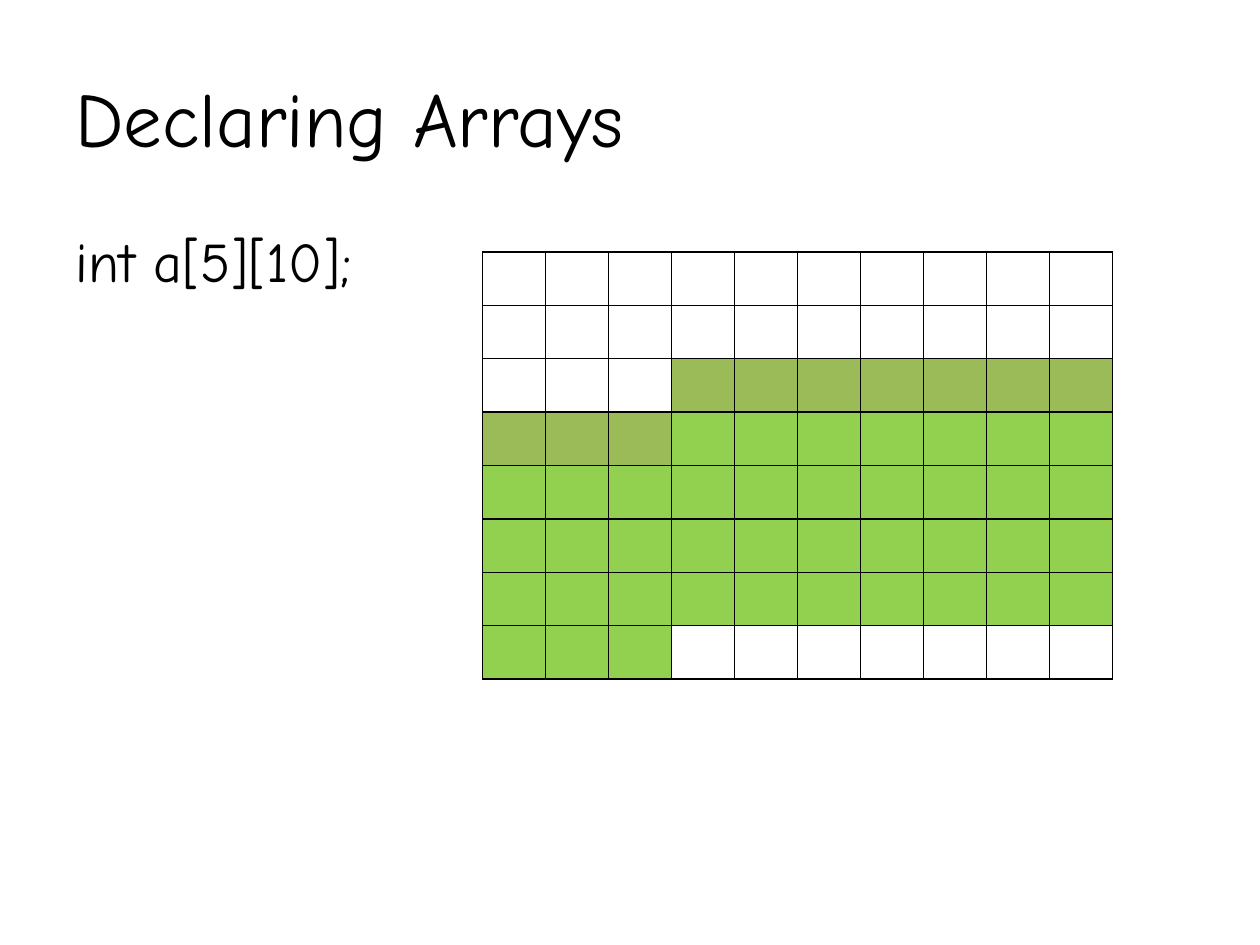
import pptx
import pptx.enum.text
import pptx.oxml
import pptx.oxml.ns
import pptx.util
from pptx.util import Inches, Pt

COLORS = {"ink": "000000", "first_row": "9BBB59", "other_rows": "92D050"}
FONT = "Comic Neue"
MEMORY_ROWS, MEMORY_COLS = 8, 10
ARRAY_ROWS, ARRAY_COLS = 5, 10
ARRAY_START = 23  # memory cell that holds a[0][0]


def rgb(name):
    return pptx.dml.color.RGBColor.from_string(COLORS[name])


def add_borders(cell):
    """Draw a 1 pt line on all four sides of a table cell."""
    tcPr = cell._tc.get_or_add_tcPr()
    for i, side in enumerate(("lnL", "lnR", "lnT", "lnB")):
        tcPr.insert(i, pptx.oxml.parse_xml(
            f'<a:{side} {pptx.oxml.ns.nsdecls("a")} w="{Pt(1)}"><a:solidFill>'
            f'<a:srgbClr val="{COLORS["ink"]}"/></a:solidFill></a:{side}>'))


prs = pptx.Presentation()
prs.slide_width, prs.slide_height = Inches(10), Inches(7.5)
slide = prs.slides.add_slide(prs.slide_layouts[6])

# Title and declaration
anchors = pptx.enum.text.MSO_ANCHOR
for text, top, height, size, anchor in (
    ("Declaring Arrays", 0.3, 1.25, 44, anchors.MIDDLE),
    ("int a[5][10];", 1.75, 0.75, 32, anchors.TOP),
):
    sp = slide.shapes.add_textbox(Inches(0.5), Inches(top), Inches(9), Inches(height))
    tf = sp.text_frame
    tf.word_wrap = True
    tf.vertical_anchor = anchor
    p = tf.paragraphs[0]
    p.text = text
    p.font.name = FONT
    p.font.size = Pt(size)
    p.font.color.rgb = rgb("ink")

# Memory grid, with the array's cells filled
table = slide.shapes.add_table(MEMORY_ROWS, MEMORY_COLS, Inches(3.83), Inches(2),
                               Inches(5), Inches(3.39)).table
table.first_row = table.horz_banding = False
for n in range(MEMORY_ROWS * MEMORY_COLS):
    cell = table.cell(*divmod(n, MEMORY_COLS))
    element = n - ARRAY_START
    if 0 <= element < ARRAY_ROWS * ARRAY_COLS:
        cell.fill.solid()
        cell.fill.fore_color.rgb = rgb("first_row" if element < ARRAY_COLS else "other_rows")
    else:
        cell.fill.background()
    add_borders(cell)

prs.save("out.pptx")
